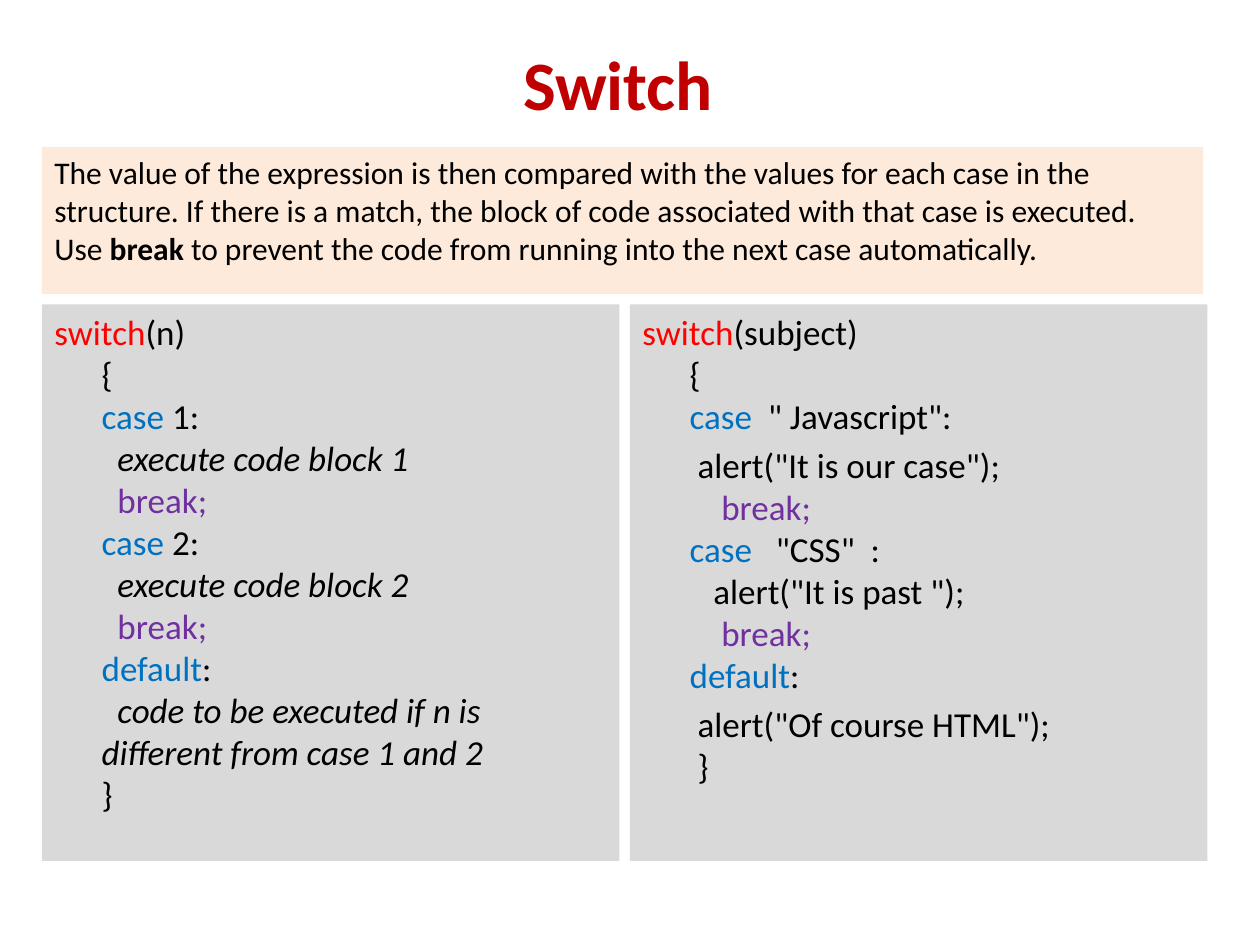
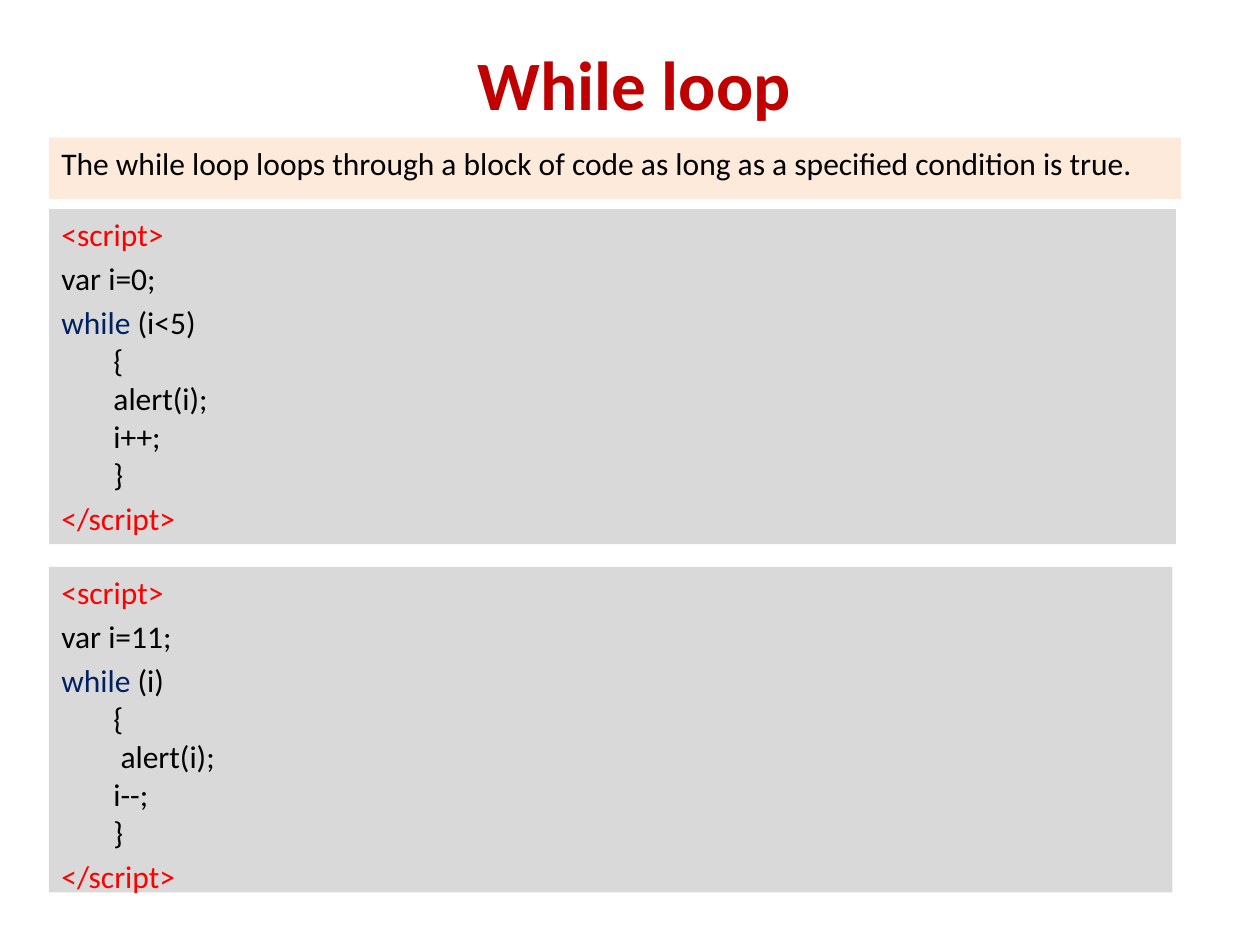
from dataclasses import dataclass

from pptx import Presentation
from pptx.dml.color import RGBColor
from pptx.enum.shapes import MSO_SHAPE
from pptx.enum.text import MSO_ANCHOR, PP_ALIGN
from pptx.util import Pt

RECTANGLE = MSO_SHAPE.RECTANGLE
TOP, MIDDLE = MSO_ANCHOR.TOP, MSO_ANCHOR.MIDDLE
LEFT, CENTER = PP_ALIGN.LEFT, PP_ALIGN.CENTER
BLANK_LAYOUT = 6
FLUSH = None  # a code line that starts at the panel's edge


@dataclass(frozen=True)
class Theme:
    """Colours, font and type sizes shared by the slides."""
    font: str = "Calibri"
    title_size: float = 39.6
    text_size: float = 18
    large_code_size: float = 20
    space_ratio: float = 0.226  # width of a space relative to the type size
    gap_ratio: float = 0.2  # space before a block relative to the type size
    title: str = "C00000"
    text: str = "000000"
    tag: str = "FF0000"
    case: str = "0070C0"
    stop: str = "7030A0"
    loop: str = "002060"
    note_fill: str = "FDEADA"
    code_fill: str = "D9D9D9"


THEME = Theme()


def add_span(para, text, size, color=THEME.text, bold=False, italic=False):
    """Add one formatted run to a paragraph."""
    font_run = para.add_run()
    font_run.text = text
    font = font_run.font
    font.name, font.size = THEME.font, Pt(size)
    font.bold, font.italic = bold, italic
    font.color.rgb = RGBColor.from_string(color)


def add_title(page, text, left_inset=7.2, right_inset=7.2):
    """Add the centred slide title."""
    box = page.shapes.add_textbox(Pt(33.84), Pt(16.56), Pt(648), Pt(56.6))
    frame = box.text_frame
    frame.word_wrap = True
    frame.vertical_anchor = MIDDLE
    frame.margin_left, frame.margin_right = Pt(left_inset), Pt(right_inset)
    frame.margin_top = Pt(8.6)
    para = frame.paragraphs[0]
    para.alignment = CENTER
    add_span(para, text, THEME.title_size, THEME.title, bold=True)


def add_panel(page, left, top, width, height, fill):
    """Add a plain filled rectangle and return its text frame."""
    box = page.shapes.add_shape(RECTANGLE, Pt(left), Pt(top), Pt(width), Pt(height))
    box.shadow.inherit = False
    box.fill.solid()
    box.fill.fore_color.rgb = RGBColor.from_string(fill)
    box.line.fill.background()
    frame = box.text_frame
    frame.word_wrap = True
    frame.vertical_anchor = TOP
    return frame


def add_note(page, area, spans):
    """Add the explanation; spans are (text, bold) pairs."""
    para = add_panel(page, *area, THEME.note_fill).paragraphs[0]
    para.alignment = LEFT
    for text, bold in spans:
        add_span(para, text, THEME.text_size, bold=bold)


def add_code(page, area, lines, size, margin):
    """Add a code panel; lines are (spaces of indent, gap before, spans)."""
    frame = add_panel(page, *area, THEME.code_fill)
    for index, (spaces, gap, spans) in enumerate(lines):
        para = frame.add_paragraph() if index else frame.paragraphs[0]
        para.alignment = LEFT
        para.space_before = Pt(size * THEME.gap_ratio if gap else 0)
        indent = -margin if spaces is FLUSH else spaces * size * THEME.space_ratio
        properties = para._p.get_or_add_pPr()
        properties.set("marL", str(Pt(margin)))
        properties.set("indent", str(Pt(indent)))
        for text, color, italic in spans:
            add_span(para, text, size, color, italic=italic)


def plain(text, spaces=0, gap=False, color=THEME.text, italic=False):
    """Describe a code line in one colour."""
    return spaces, gap, [(text, color, italic)]


def keyword(word, rest, color, spaces=0, gap=False):
    """Describe a code line that opens with a coloured keyword."""
    return spaces, gap, [(word, color, False), (rest, THEME.text, False)]


def stop(spaces):
    """Describe a break statement."""
    return plain("break;", spaces, color=THEME.stop)


def numbered_case(number):
    """Describe the three lines of a numbered case."""
    return [
        keyword("case", f" {number}:", THEME.case),
        plain(f"execute code block {number}", 2, italic=True),
        stop(2),
    ]


def while_script(start, condition, call_spaces, step):
    """Describe a script holding one while loop."""
    return [
        plain("<script>", FLUSH, color=THEME.tag),
        plain(f"var i={start};", FLUSH, gap=True),
        keyword("while", f" ({condition})", THEME.loop, FLUSH, gap=True),
        plain("{", 2),
        plain("alert(i);", call_spaces),
        plain(f"{step};", 2),
        plain("}", 2),
        plain("</script>", FLUSH, gap=True, color=THEME.tag),
    ]


def build_switch(deck):
    """Build the slide on the switch statement."""
    page = deck.slides.add_slide(deck.slide_layouts[BLANK_LAYOUT])
    add_title(page, "Switch", right_inset=16.2)
    add_note(page, (24, 84, 663.6, 84), [
        ("The value of the expression is then compared with the values for each "
         "case in the structure. If there is a match, the block of code associated "
         "with that case is executed. Use\u00a0", False),
        ("break", True),
        ("\u00a0to prevent the code from running into the next case automatically.",
         False),
    ])
    syntax = [
        keyword("switch", "(n)", THEME.tag, FLUSH),
        plain("{"),
        *numbered_case(1),
        *numbered_case(2),
        keyword("default", ":", THEME.case),
        plain("code to be executed if n is different from case 1 and 2", 2, italic=True),
        plain("}"),
    ]
    example = [
        keyword("switch", "(subject)", THEME.tag, FLUSH),
        plain("{"),
        keyword("case  ", '" Javascript":', THEME.case),
        plain('alert("It is our case");', 1, gap=True),
        stop(4),
        keyword("case   ", '"CSS"  :', THEME.case),
        plain('alert("It is past ");', 3),
        stop(4),
        keyword("default", ":", THEME.case),
        plain('alert("Of course HTML");', 1, gap=True),
        plain("}", 1),
    ]
    for left, lines in ((24, syntax), (360, example)):
        add_code(page, (left, 174, 330, 318), lines, THEME.large_code_size, 27)


def build_while(deck):
    """Build the slide on the while loop."""
    page = deck.slides.add_slide(deck.slide_layouts[BLANK_LAYOUT])
    add_title(page, "While loop", left_inset=16.2)
    add_note(page, (28, 78.6, 646.8, 35), [
        ("The while loop loops through a block of code as long as a specified "
         "condition is true.", False),
    ])
    count_up = while_script(0, "i<5", 2, "i++")
    count_down = while_script(11, "i", 3, "i--")
    add_code(page, (28, 119.5, 644, 191.5), count_up, THEME.text_size, 21.6)
    add_code(page, (28, 324, 642, 186), count_down, THEME.text_size, 21.6)


def main():
    """Build the deck and save it."""
    deck = Presentation()
    deck.slide_width, deck.slide_height = Pt(720), Pt(540)
    build_switch(deck)
    build_while(deck)
    deck.save("out.pptx")


main()
